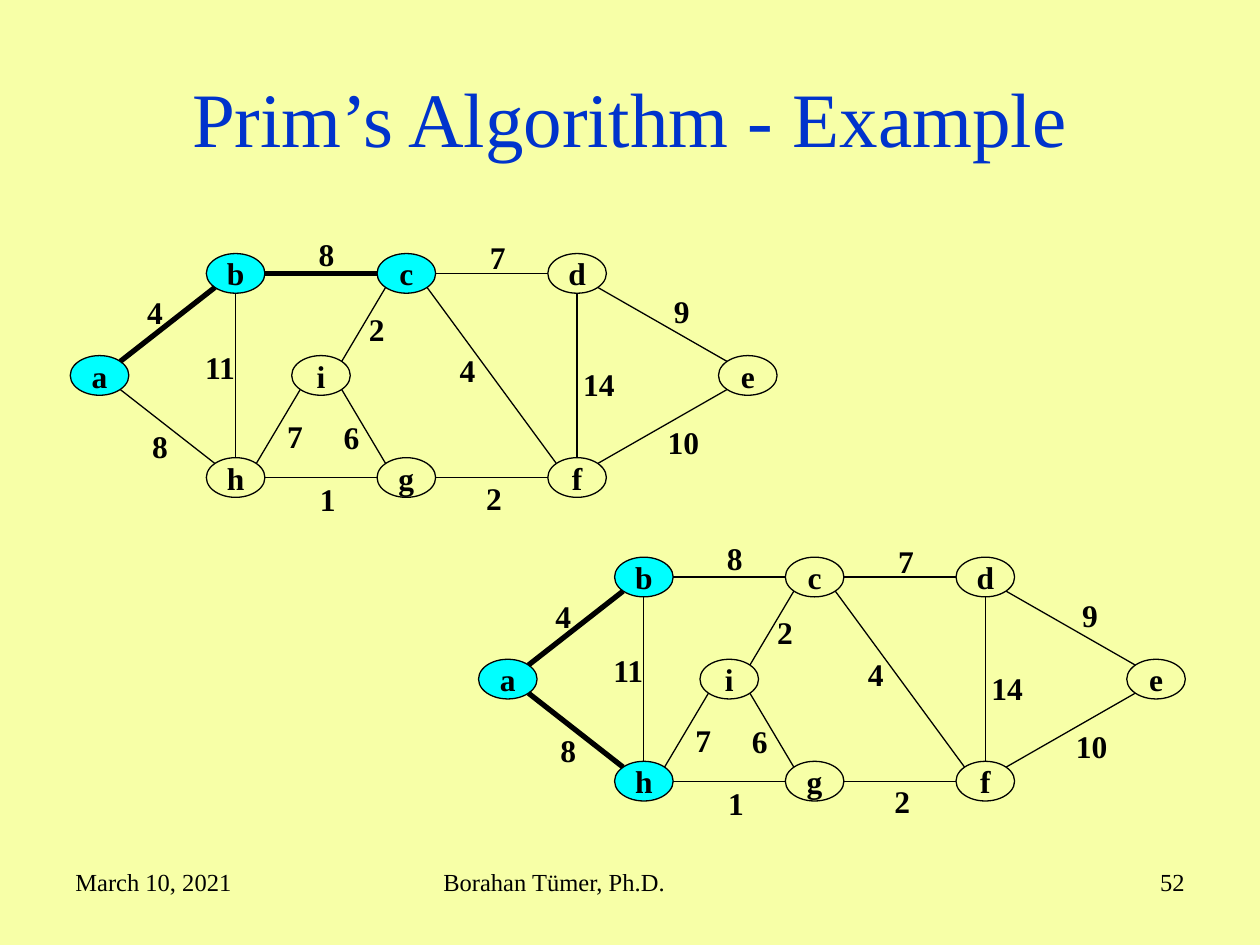
"""Build a slide showing two spanning-tree choices of Prim's algorithm."""
from dataclasses import dataclass

from lxml import etree
from pptx import Presentation
from pptx import util as u
from pptx.dml.color import RGBColor
from pptx.enum import shapes, text
from pptx.oxml.ns import qn


@dataclass(frozen=True)
class Theme:
    """Colours, font and type sizes of the slide."""
    background: str = "F7FFA7"
    ink: str = "000000"
    title: str = "0033CC"
    visited: str = "00FFFF"
    font: str = "Times New Roman"
    title_size: int = 44
    graph_size: int = 18
    footer_size: int = 14
    thin: float = 0.75
    thick: float = 3


LEFT, CENTER, RIGHT = text.PP_ALIGN.LEFT, text.PP_ALIGN.CENTER, text.PP_ALIGN.RIGHT
TOP, MIDDLE = text.MSO_ANCHOR.TOP, text.MSO_ANCHOR.MIDDLE
NODE_W, NODE_H = 0.465, 0.315
DIAGONAL = 0.5 ** 0.5
COL, ROW = 1.355, 0.81
X0, Y0 = 1.87, 2.17
NODES = {
    "a": (0.79, Y0 + ROW),
    "b": (X0, Y0),
    "c": (X0 + COL, Y0),
    "d": (X0 + 2 * COL, Y0),
    "e": (X0 + 3 * COL, Y0 + ROW),
    "i": (X0 + COL / 2, Y0 + ROW),
    "h": (X0, Y0 + 2 * ROW),
    "g": (X0 + COL, Y0 + 2 * ROW),
    "f": (X0 + 2 * COL, Y0 + 2 * ROW),
}
EDGES = {
    "ab": ("4", 1.07, 2.28),
    "bc": ("8", 2.43, 1.82),
    "cd": ("7", 3.79, 1.84),
    "de": ("9", 5.25, 2.27),
    "df": ("14", 4.53, 2.85),
    "fe": ("10", 5.2, 3.31),
    "cf": ("4", 3.55, 2.74),
    "gf": ("2", 3.76, 3.75),
    "ig": ("6", 2.63, 3.27),
    "ic": ("2", 2.83, 2.41),
    "bh": ("11", 1.53, 2.71),
    "ah": ("8", 1.11, 3.34),
    "hg": ("1", 2.44, 3.76),
    "hi": ("7", 2.18, 3.26),
}


def write(tf, content, *, size, color, font, bold=False, align=LEFT, anchor=TOP, wrap=True):
    """Put one formatted paragraph into a text frame."""
    tf.word_wrap = wrap
    tf.vertical_anchor = anchor
    p = tf.paragraphs[0]
    p.alignment = align
    r = p.add_run()
    r.text = content
    r.font.name = font
    r.font.size = u.Pt(size)
    r.font.bold = bold
    r.font.color.rgb = RGBColor.from_string(color)


def sign(value):
    """Return the sign of a length, taking tiny ones as zero."""
    return 0 if abs(value) < 0.01 else (1 if value > 0 else -1)


def rim(start, end):
    """Return the point of the start node's outline that faces the end node."""
    sx, sy = sign(end[0] - start[0]), sign(end[1] - start[1])
    reach = DIAGONAL if sx and sy else 1
    return start[0] + sx * reach * NODE_W / 2, start[1] + sy * reach * NODE_H / 2


class Builder:
    """Draw styled elements on the current slide."""

    def __init__(self, s, theme):
        self.s, self.theme = s, theme
        fill = s.background.fill
        fill.solid()
        fill.fore_color.rgb = RGBColor.from_string(theme.background)

    def label(self, content, x, y, w, h, size, color=None, **fmt):
        """Add a text box."""
        sp = self.s.shapes.add_textbox(*map(u.Inches, (x, y, w, h)))
        write(sp.text_frame, content, size=size, color=color or self.theme.ink,
              font=self.theme.font, **fmt)

    def node(self, name, x, y, visited):
        """Add a named vertex centred on a point."""
        t = self.theme
        box = (x - NODE_W / 2, y - NODE_H / 2, NODE_W, NODE_H)
        sp = self.s.shapes.add_shape(shapes.MSO_SHAPE.OVAL, *map(u.Inches, box))
        sp.shadow.inherit = False
        if visited:
            sp.fill.solid()
            sp.fill.fore_color.rgb = RGBColor.from_string(t.visited)
        else:
            sp.fill.background()
        sp.line.color.rgb = RGBColor.from_string(t.ink)
        sp.line.width = u.Pt(t.thin)
        write(sp.text_frame, name, size=t.graph_size, color=t.ink, font=t.font,
              bold=True, align=CENTER, anchor=MIDDLE, wrap=False)

    def edge(self, start, end, chosen):
        """Add a line between the outlines of two vertices."""
        points = (*rim(start, end), *rim(end, start))
        sp = self.s.shapes.add_connector(shapes.MSO_CONNECTOR.STRAIGHT, *map(u.Inches, points))
        sp.line.color.rgb = RGBColor.from_string(self.theme.ink)
        sp.line.width = u.Pt(self.theme.thick if chosen else self.theme.thin)
        etree.SubElement(sp._element.spPr, qn("a:effectLst"))

    def graph(self, dx, dy, visited, tree):
        """Add the whole weighted graph, moved by an offset."""
        centres = {name: (x + dx, y + dy) for name, (x, y) in NODES.items()}
        for name, (x, y) in centres.items():
            self.node(name, x, y, name in visited)
        for pair, (weight, x, y) in EDGES.items():
            self.edge(centres[pair[0]], centres[pair[1]], pair in tree)
            width = 0.33 if len(weight) == 1 else 0.45
            self.label(weight, x + dx, y + dy, width, 0.4, self.theme.graph_size,
                       bold=True, wrap=False)


def main():
    """Build and save the slide."""
    prs = Presentation()
    prs.slide_width, prs.slide_height = u.Inches(10), u.Inches(7.5)
    theme = Theme()
    b = Builder(prs.slides.add_slide(prs.slide_layouts[6]), theme)
    b.label("Prim’s Algorithm - Example", 0.5, 0.3, 9, 1.25, theme.title_size,
            theme.title, align=CENTER, anchor=MIDDLE)
    for content, x, w, align in (
        ("March 10, 2021", 0.5, 2.33, LEFT),
        ("Borahan Tümer, Ph.D.", 3.42, 3.17, LEFT),
        ("52", 7.17, 2.33, RIGHT),
    ):
        b.label(content, x, 6.83, w, 0.52, theme.footer_size, align=align)
    b.graph(0, 0, "abc", ("ab", "bc"))
    b.graph(3.24, 2.41, "abh", ("ab", "ah"))
    prs.save("out.pptx")


if __name__ == "__main__":
    main()
